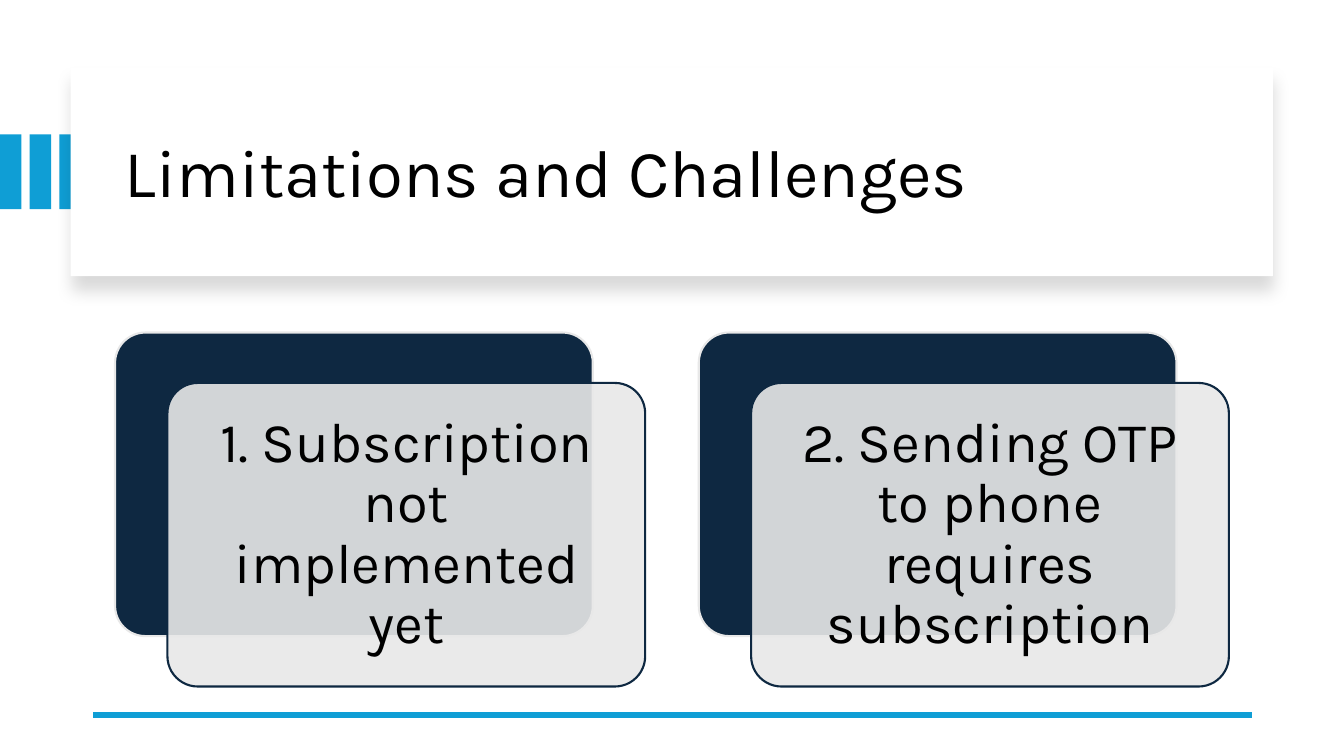
from lxml.etree import SubElement as Sub
from pptx import Presentation
from pptx.dml.color import RGBColor
from pptx.enum.shapes import MSO_CONNECTOR, MSO_SHAPE
from pptx.enum.text import MSO_ANCHOR, MSO_AUTO_SIZE, PP_ALIGN
from pptx.oxml.ns import qn
from pptx.util import Cm, Pt

BLUE = RGBColor(0x0F, 0x9E, 0xD5)
NAVY = RGBColor(0x0E, 0x28, 0x41)
GREY = RGBColor(0xE8, 0xE8, 0xE8)
WHITE = RGBColor(0xFF, 0xFF, 0xFF)
BLACK = RGBColor(0, 0, 0)

CARDS = [
    "1. Subscription not implemented yet",
    "2. Sending OTP to phone requires subscription",
]


def write(box, text, size=40, align=PP_ALIGN.CENTER, inset=0.43):
    """Fill a box with one formatted paragraph."""
    frame = box.text_frame
    frame.text = text
    frame.word_wrap = True
    frame.auto_size = MSO_AUTO_SIZE.NONE
    frame.vertical_anchor = MSO_ANCHOR.MIDDLE
    frame.margin_left = frame.margin_right = Cm(inset)
    frame.margin_top = frame.margin_bottom = Cm(inset)
    para = frame.paragraphs[0]
    para.alignment = align
    para.line_spacing = 0.9
    para.font.name = "Karla"
    para.font.size = Pt(size)
    para.font.color.rgb = BLACK


def block(shapes, kind, x, y, w, h, fill, line=None):
    """Add a filled shape, outlined only if a line colour is given."""
    shape = shapes.add_shape(kind, Cm(x), Cm(y), Cm(w), Cm(h))
    shape.shadow.inherit = False
    shape.fill.solid()
    shape.fill.fore_color.rgb = fill
    if line is None:
        shape.line.fill.background()
    else:
        shape.line.color.rgb = line
        shape.line.width = Pt(1.5)
    return shape


def fade(shape, alpha):
    """Set the opacity of a solid fill, in percent."""
    color = shape._element.spPr.find(qn("a:solidFill"))[0]
    Sub(color, qn("a:alpha"), val=str(alpha * 1000))


def shade(shape):
    """Cast a soft shadow downwards."""
    effects = shape._element.spPr.find(qn("a:effectLst"))
    outer = Sub(effects, qn("a:outerShdw"), blurRad=str(Pt(11)),
                dist=str(Pt(10)), dir="5400000", algn="t", rotWithShape="0")
    color = Sub(outer, qn("a:srgbClr"), val=str(BLACK))
    Sub(color, qn("a:alpha"), val="15000")


def card(slide, x, y, text):
    """Add a dark plate with a pale text plate shifted over it."""
    shapes = slide.shapes.add_group_shape().shapes
    w, h, pad = 12.04, 7.65, 0.23
    left, top = x + 1.32, y + 1.27
    back = block(shapes, MSO_SHAPE.ROUNDED_RECTANGLE, x, y, w, h, NAVY, GREY)
    front = block(shapes, MSO_SHAPE.ROUNDED_RECTANGLE, left, top, w, h,
                  GREY, NAVY)
    for plate in (back, front):
        plate.adjustments[0] = 0.1
    fade(front, 90)
    box = shapes.add_textbox(Cm(left + pad), Cm(top + pad),
                             Cm(w - 2 * pad), Cm(h - 2 * pad))
    write(box, text)


def rule(slide, start, end, y):
    """Add the thick line at the foot."""
    line = slide.shapes.add_connector(MSO_CONNECTOR.STRAIGHT, Cm(start),
                                      Cm(y), Cm(end), Cm(y))
    line.line.color.rgb = BLUE
    line.line.width = Pt(4.5)
    Sub(line._element.spPr, qn("a:effectLst"))


def main():
    prs = Presentation()
    prs.slide_width, prs.slide_height = Cm(33.87), Cm(19.05)
    slide = prs.slides.add_slide(prs.slide_layouts[5])

    # Stripes at the left edge
    stripes = slide.shapes.add_group_shape().shapes
    for i in range(3):
        block(stripes, MSO_SHAPE.RECTANGLE, i * 0.75, 3.39, 0.54, 1.88, BLUE)

    # Title on its raised panel
    panel = block(slide.shapes, MSO_SHAPE.RECTANGLE, 1.78, 1.7, 30.3, 5.26,
                  WHITE)
    shade(panel)
    title = slide.shapes.title
    title.left, title.top = Cm(2.9), Cm(2.26)
    title.width, title.height = Cm(28.27), Cm(4.32)
    write(title, "Limitations and Challenges", size=48,
          align=PP_ALIGN.LEFT, inset=0.25)
    panel._element.addnext(title._element)

    # Foot line and cards
    rule(slide, 31.55, 2.34, 18.01)
    for i, text in enumerate(CARDS):
        card(slide, 2.9 + i * 14.71, 8.38, text)

    prs.save("out.pptx")


if __name__ == "__main__":
    main()
